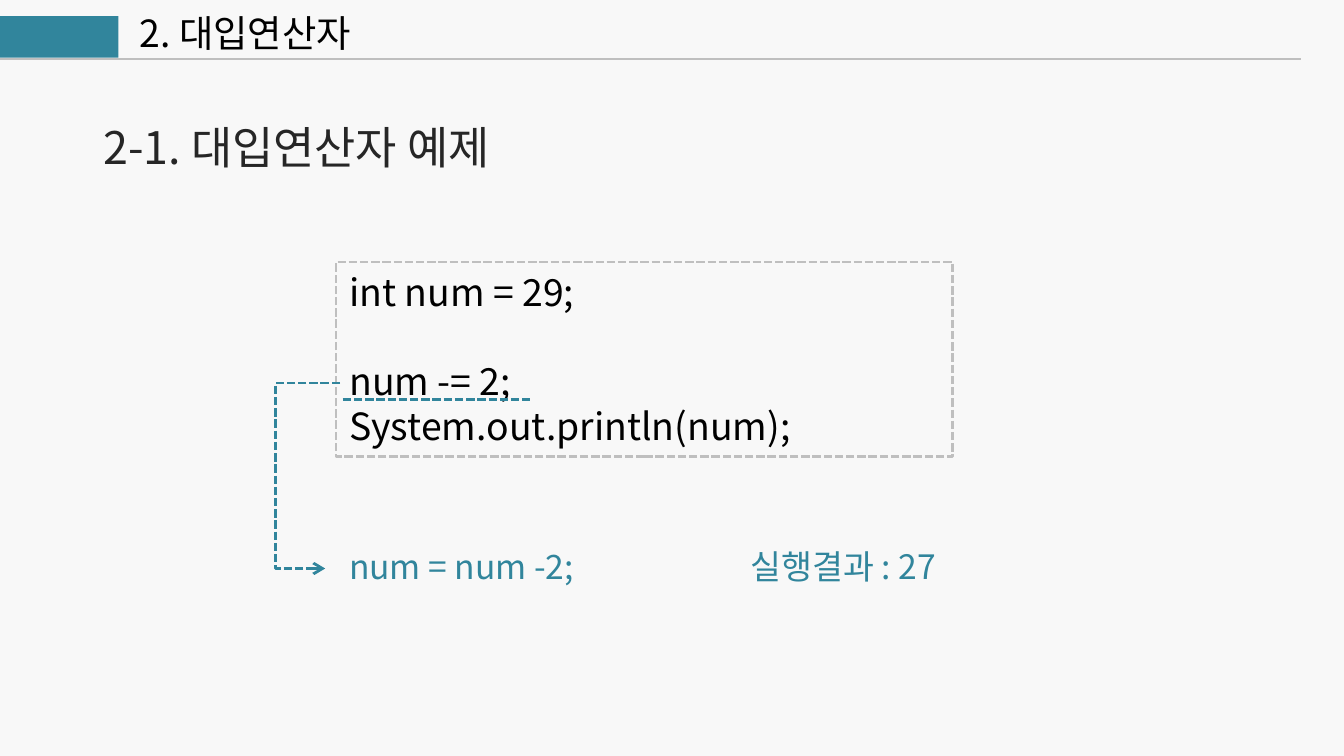
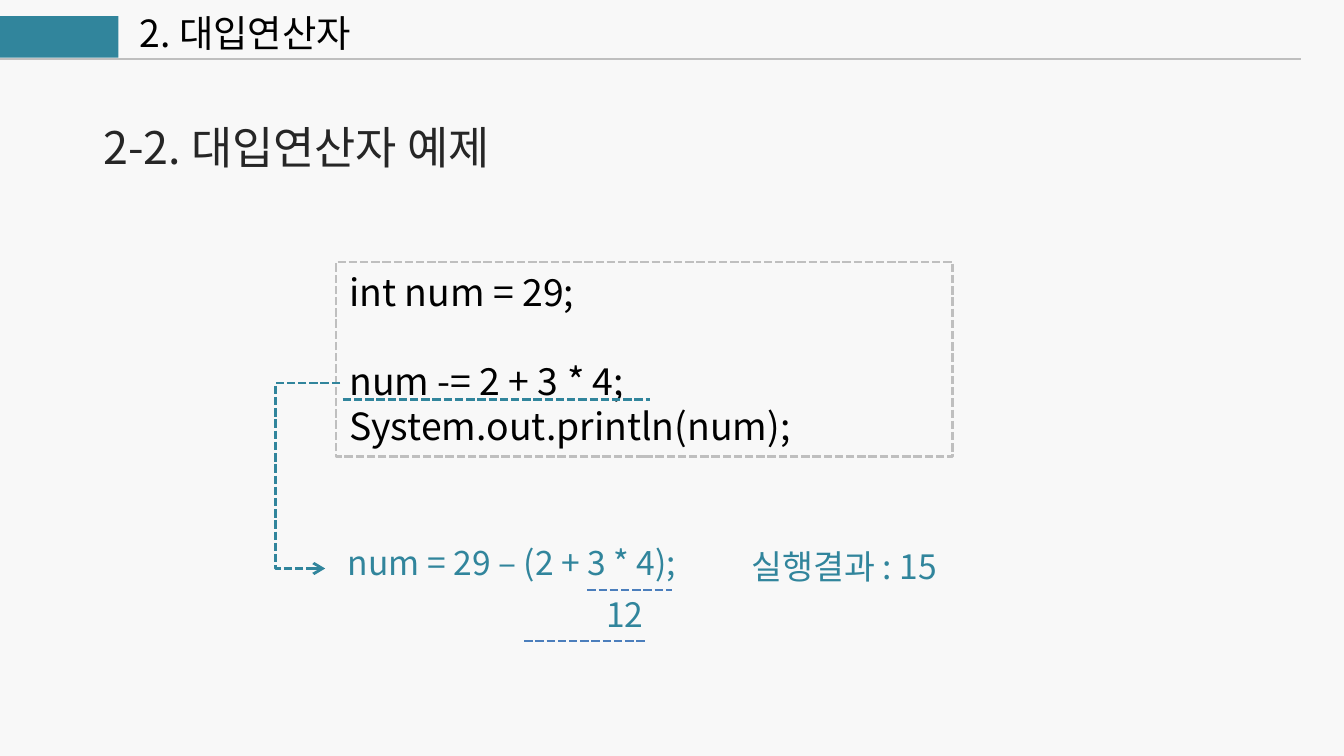
from dataclasses import dataclass

from lxml import etree
from pptx import Presentation
from pptx.dml.color import RGBColor
from pptx.enum.dml import MSO_LINE
from pptx.enum.shapes import MSO_CONNECTOR, MSO_SHAPE
from pptx.enum.text import MSO_ANCHOR, PP_ALIGN
from pptx.oxml.ns import qn
from pptx.util import Inches, Pt

RECT = MSO_SHAPE.RECTANGLE
STRAIGHT = MSO_CONNECTOR.STRAIGHT
DASH = MSO_LINE.SQUARE_DOT
LEFT, CENTER = PP_ALIGN.LEFT, PP_ALIGN.CENTER
TOP = MSO_ANCHOR.TOP


@dataclass(frozen=True)
class Theme:
    font: str = "Noto Sans CJK KR"
    paper: str = "F8F8F8"
    ink: str = "000000"
    heading: str = "262626"
    accent: str = "31859C"
    rule: str = "BFBFBF"
    step: str = "4B7EBC"
    heading_size: int = 24
    code_size: int = 20
    note_size: int = 18
    leading: float = 1.2
    thin: float = 1
    dashed: float = 1.5


T = Theme()
COLUMNS, ROWS = 100, 56.25
CELL = Inches(0.1)

EXAMPLES = [
    dict(
        heading="2-1. 대입연산자 예제",
        statement="num -= 2;",
        underline_end=39.4,
        expansion=("num = num -2;", (24.7, 40.1, 19.3, 4)),
        result=("실행결과 : 27", (54.6, 40.1, 16.3, 4)),
        steps=[],
        partial=None,
    ),
    dict(
        heading="2-2. 대입연산자 예제",
        statement="num -= 2 + 3 * 4;",
        underline_end=48.4,
        expansion=("num = 29 – (2 + 3 * 4);", (23.9, 39.8, 28.4, 4)),
        result=("실행결과 : 15", (54.9, 40.1, 15.8, 4)),
        steps=[(43.7, 50, 43.9), (39, 48, 47.7)],
        partial=("12", (44, 43.7, 5, 4)),
    ),
]


def cells(*values):
    return [int(v * CELL) for v in values]


def rgb(color):
    return RGBColor.from_string(color)


def set_all(obj, formats):
    for name, value in formats.items():
        setattr(obj, name, value)


def stroke(sp, color, width, dash=None):
    sp.line.color.rgb = rgb(color)
    set_all(sp.line, dict(width=Pt(width), dash_style=dash))


def write(sp, lines, size, color, align=LEFT, wrap=True, gaps=()):
    tf = sp.text_frame
    set_all(tf, dict(word_wrap=wrap, vertical_anchor=TOP))
    for i, line in enumerate(lines):
        p = tf.paragraphs[0] if i == 0 else tf.add_paragraph()
        before = size * T.leading if i in gaps else 0
        set_all(p, dict(alignment=align, line_spacing=Pt(size * T.leading),
                        space_before=Pt(before)))
        r = p.add_run()
        r.text = line
        set_all(r.font, dict(name=T.font, size=Pt(size)))
        r.font.color.rgb = rgb(color)
        ea = etree.SubElement(r.font._element, qn("a:ea"))
        ea.set("typeface", T.font)


def add_text(s, text, box, size, color, align=LEFT, wrap=True):
    sp = s.shapes.add_textbox(*cells(*box))
    write(sp, [text], size, color, align, wrap)


def add_rect(s, box, fill=None):
    sp = s.shapes.add_shape(RECT, *cells(*box))
    sp.shadow.inherit = False
    if fill:
        sp.fill.solid()
        sp.fill.fore_color.rgb = rgb(fill)
    else:
        sp.fill.background()
    sp.line.fill.background()
    return sp


def add_rule(s, x1, x2, y, color, width, dash=None):
    sp = s.shapes.add_connector(STRAIGHT, *cells(x1, y, x2, y))
    stroke(sp, color, width, dash)
    etree.SubElement(sp._element.spPr, qn("a:effectLst"))


def add_elbow_arrow(s, points):
    start, *rest = [cells(*point) for point in points]
    builder = s.shapes.build_freeform(*start)
    builder.add_line_segments(rest, close=False)
    sp = builder.convert_to_shape()
    sp.shadow.inherit = False
    sp.fill.background()
    stroke(sp, T.accent, T.dashed, DASH)
    tail = etree.SubElement(sp.line._get_or_add_ln(), qn("a:tailEnd"))
    tail.set("type", "arrow")


def add_header(s):
    add_text(s, "2. 대입연산자", (9.4, 0.3, 21.7, 4.4), T.code_size, T.ink)
    add_rect(s, (-0.1, 1.2, 8.9, 3.1), T.accent)
    add_rule(s, -0.1, 96.8, 4.4, T.rule, T.thin)


def add_code(s, statement, underline_end):
    sp = add_rect(s, (25, 19.5, 45.9, 14.5))
    stroke(sp, T.rule, T.dashed, DASH)
    lines = ["int num = 29;", statement, "System.out.println(num);"]
    write(sp, lines, T.code_size, T.ink, gaps=(1,))
    add_rule(s, 25.5, underline_end, 29.7, T.accent, T.dashed, DASH)


def add_example(prs, example):
    s = prs.slides.add_slide(prs.slide_layouts[6])
    s.background.fill.solid()
    s.background.fill.fore_color.rgb = rgb(T.paper)
    add_header(s)
    add_text(s, example["heading"], (6.7, 8.4, 33.9, 5), T.heading_size, T.heading)
    add_code(s, example["statement"], example["underline_end"])
    add_text(s, *example["result"], T.note_size, T.accent, CENTER)
    add_text(s, *example["expansion"], T.note_size, T.accent, CENTER, False)
    add_elbow_arrow(s, [(25.3, 28.5), (20.5, 28.5), (20.5, 42.3), (24.2, 42.3)])
    for x1, x2, y in example["steps"]:
        add_rule(s, x1, x2, y, T.step, T.dashed, DASH)
    if example["partial"]:
        add_text(s, *example["partial"], T.note_size, T.accent, CENTER, False)


def main():
    prs = Presentation()
    set_all(prs, dict(slide_width=int(COLUMNS * CELL), slide_height=int(ROWS * CELL)))
    for example in EXAMPLES:
        add_example(prs, example)
    prs.save("out.pptx")


main()
